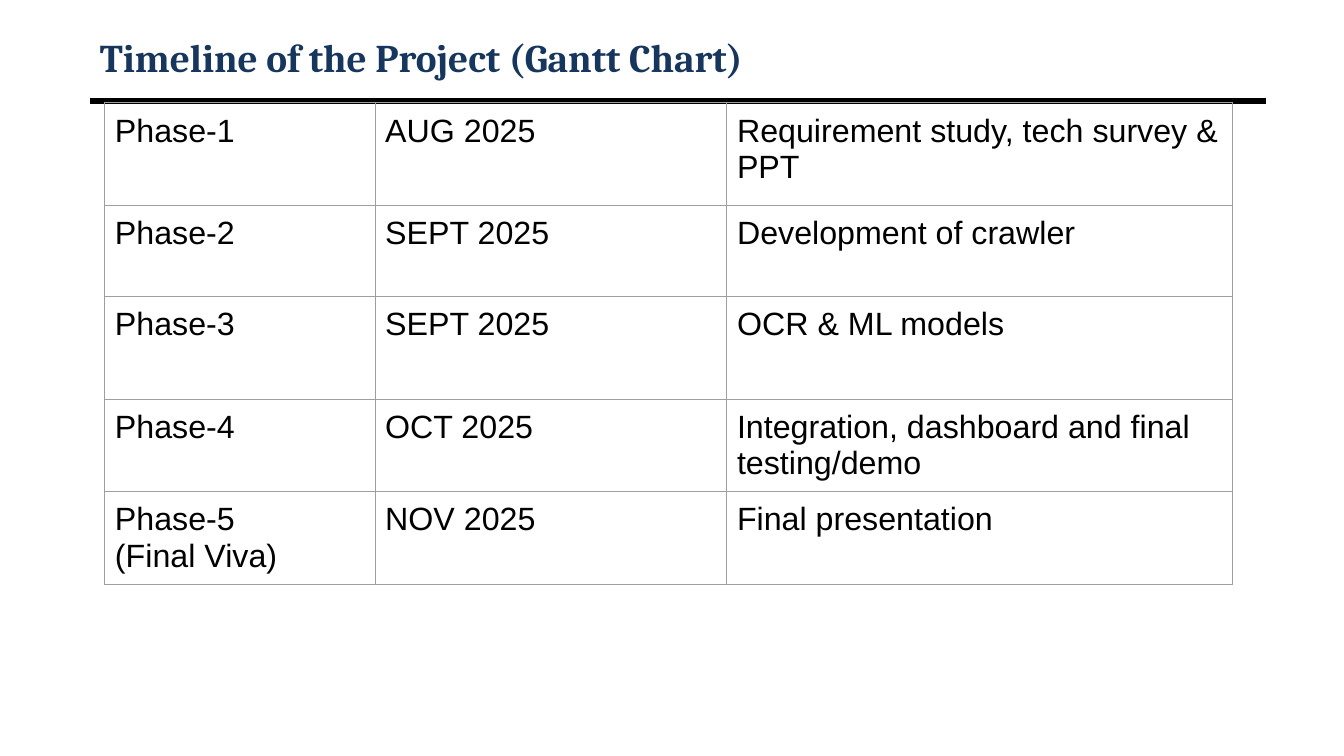
import dataclasses

import pptx
import pptx.dml.color
import pptx.enum.shapes
import pptx.enum.text
import pptx.oxml
import pptx.oxml.ns
import pptx.util

Inches = pptx.util.Inches
Pt = pptx.util.Pt


@dataclasses.dataclass(frozen=True)
class Phase:
    name: str
    month: str
    work: str
    height: float


@dataclasses.dataclass(frozen=True)
class Style:
    font: str
    size: float
    color: str
    bold: bool = False


PHASES = [
    Phase("Phase-1", "AUG 2025", "Requirement study, tech survey & PPT", 1.02),
    Phase("Phase-2", "SEPT 2025", "Development of crawler", 0.9),
    Phase("Phase-3", "SEPT 2025", "OCR & ML models", 1.02),
    Phase("Phase-4", "OCT 2025",
          "Integration, dashboard and final testing/demo", 0.9),
    Phase("Phase-5\n(Final Viva)", "NOV 2025", "Final presentation", 0.9),
]
WIDTHS = [2.68, 3.49, 5.01]
HEAD = Style("Cambria", 28, "17365D", True)
BODY = Style("Arial", 23, "000000")
LEFT, WIDTH = 0.89, 11.67


def rgb(code: str) -> pptx.dml.color.RGBColor:
    return pptx.dml.color.RGBColor.from_string(code)


def write(frame, text: str, style: Style) -> None:
    """Fill a text frame, one paragraph per line of text."""
    for i, line in enumerate(text.split("\n")):
        para = frame.add_paragraph() if i else frame.paragraphs[0]
        para.alignment = pptx.enum.text.PP_ALIGN.LEFT
        run = para.add_run()
        run.text = line
        run.font.name = style.font
        run.font.size = Pt(style.size)
        run.font.bold = style.bold
        run.font.color.rgb = rgb(style.color)


def add_title(slide, text: str) -> None:
    title = slide.shapes.title
    title.left, title.top = Inches(LEFT), Inches(0.3)
    title.width, title.height = Inches(WIDTH), Inches(0.53)
    frame = title.text_frame
    frame.word_wrap = True
    frame.auto_size = pptx.enum.text.MSO_AUTO_SIZE.NONE
    frame.vertical_anchor = pptx.enum.text.MSO_ANCHOR.MIDDLE
    write(frame, text, HEAD)


def add_rule(slide) -> None:
    """Draw the heavy line under the title."""
    rule = slide.shapes.add_connector(
        pptx.enum.shapes.MSO_CONNECTOR.STRAIGHT,
        Inches(LEFT), Inches(1), Inches(LEFT + WIDTH), Inches(1))
    rule.line.color.rgb = rgb("000000")
    rule.line.width = Pt(4.5)
    props = rule._element.spPr
    props.append(props.makeelement(pptx.oxml.ns.qn("a:effectLst"), {}))


def add_edges(cell, color: str, width: float) -> None:
    """Border all four sides of a cell; edges precede the fill in its XML."""
    props = cell._tc.get_or_add_tcPr()
    for i, side in enumerate(("lnL", "lnR", "lnT", "lnB")):
        edge = pptx.oxml.parse_xml(
            f'<a:{side} {pptx.oxml.ns.nsdecls("a")} w="{Pt(width)}">'
            f'<a:solidFill><a:srgbClr val="{color}"/></a:solidFill>'
            f'</a:{side}>')
        props.insert(i, edge)


def add_plan(slide) -> None:
    heights = [phase.height for phase in PHASES]
    table = slide.shapes.add_table(
        len(PHASES), len(WIDTHS), Inches(1.04), Inches(1.02),
        Inches(sum(WIDTHS)), Inches(sum(heights))).table
    table.first_row = table.horz_banding = False
    for col, width in zip(table.columns, WIDTHS):
        col.width = Inches(width)
    for row, phase in zip(table.rows, PHASES):
        row.height = Inches(phase.height)
        for cell, text in zip(row.cells, (phase.name, phase.month, phase.work)):
            cell.margin_left = cell.margin_right = Inches(0.1)
            cell.margin_top = cell.margin_bottom = Inches(0.1)
            cell.fill.background()
            add_edges(cell, "9E9E9E", 0.75)
            write(cell.text_frame, text, BODY)


def main() -> None:
    deck = pptx.Presentation()
    deck.slide_width, deck.slide_height = Inches(13.33), Inches(7.5)
    slide = deck.slides.add_slide(deck.slide_layouts[5])
    add_title(slide, "Timeline of the Project (Gantt Chart)")
    add_rule(slide)
    add_plan(slide)
    deck.save("out.pptx")


if __name__ == "__main__":
    main()
